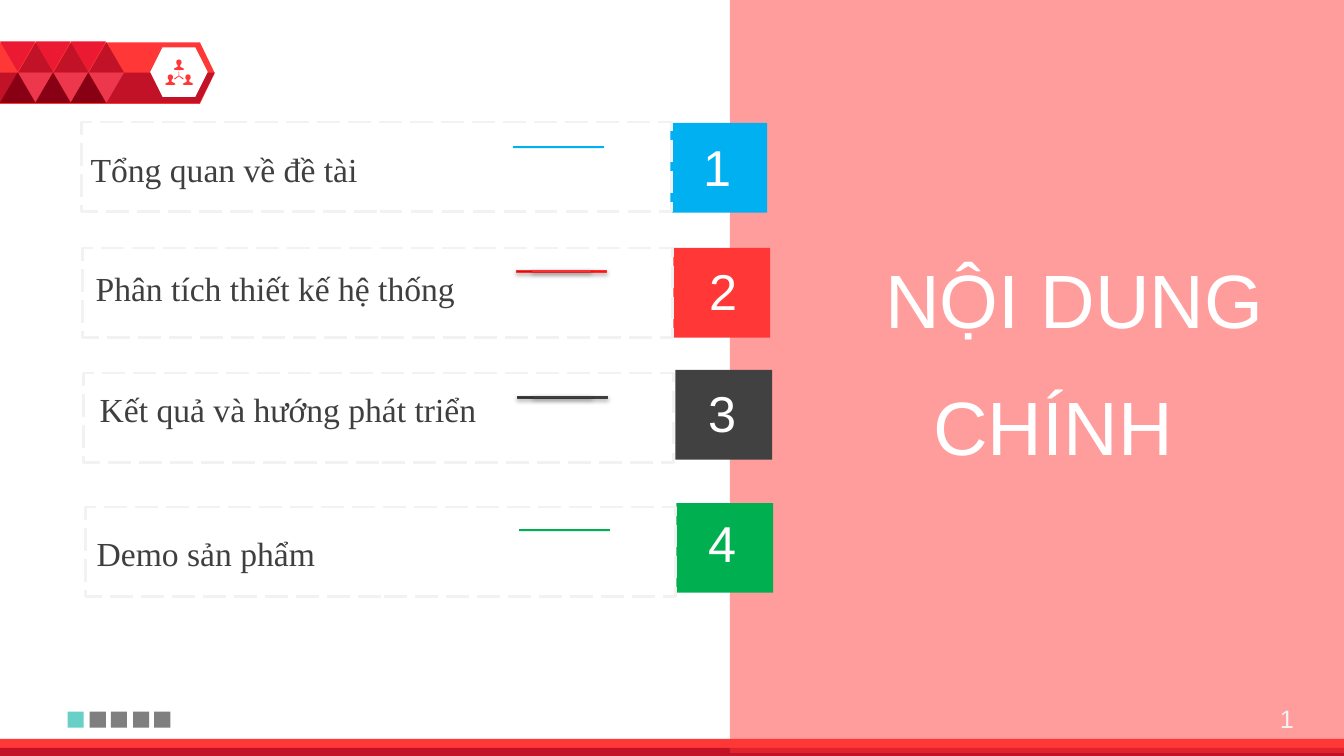
from dataclasses import dataclass
from typing import NamedTuple, Optional

import lxml.etree
import pptx
import pptx.dml.color
import pptx.enum.dml
import pptx.enum.shapes
import pptx.enum.text
import pptx.oxml
import pptx.oxml.ns
import pptx.util

PX = 9144  # EMU in one px, 100 px to the inch
SHAPE = pptx.enum.shapes.MSO_SHAPE
ALIGN = pptx.enum.text.PP_ALIGN


@dataclass(frozen=True)
class Theme:
    heading_font: str = "Arial"
    label_font: str = "Times New Roman"
    title_size: int = 54
    number_size: int = 36
    label_size: int = 24
    page_size: int = 18
    white: str = "FFFFFF"
    red: str = "FF3737"
    crimson: str = "C21227"
    scarlet: str = "EB1932"
    rose: str = "ED374D"
    maroon: str = "880014"
    blue: str = "00B0F0"
    charcoal: str = "414141"
    green: str = "00B050"
    label: str = "3F3F3F"
    frame: str = "F2F2F2"
    teal: str = "68D0C6"
    grey: str = "7F7F7F"


THEME = Theme()


class Box(NamedTuple):
    left: int
    top: int
    width: int
    height: int

    def emu(self) -> list[int]:
        return [side * PX for side in self]


class Glow(NamedTuple):
    """Gradient ends and outline of a shaded accent bar."""
    start: str
    end: str
    outline: str


class Topic(NamedTuple):
    label: str
    color: str
    frame: tuple[int, int]
    badge: tuple[int, int]
    number: tuple[int, int]
    text: tuple[int, int]
    bar: tuple[int, int]
    glow: Optional[Glow] = None


TOPICS = [
    Topic("Tổng quan về đề tài", THEME.blue,
          (81, 121), (665, 122), (677, 130), (80, 143), (509, 145)),
    Topic("Phân tích thiết kế hệ thống", THEME.red,
          (82, 246), (668, 246), (683, 253), (85, 261), (512, 268),
          Glow("D11111", "FF1313", "FD3030")),
    Topic("Kết quả và hướng phát triển", THEME.charcoal,
          (83, 370), (670, 367), (682, 374), (89, 381), (513, 393),
          Glow("2F2F2F", "3F3F3F", "3F3F3F")),
    Topic("Demo sản phẩm", THEME.green,
          (85, 503), (671, 499), (682, 503), (86, 524), (515, 525)),
]


def rgb(color: str) -> pptx.dml.color.RGBColor:
    return pptx.dml.color.RGBColor.from_string(color)


def paint(shape, color: str):
    shape.shadow.inherit = False
    shape.fill.solid()
    shape.fill.fore_color.rgb = rgb(color)
    shape.line.fill.background()
    return shape


def add_block(slide, box: Box, color: str, kind=SHAPE.RECTANGLE):
    return paint(slide.shapes.add_shape(kind, *box.emu()), color)


def write(frame, text: str, size: int, color: str, align, font: str) -> None:
    frame.text = text
    frame.word_wrap = True
    frame.vertical_anchor = pptx.enum.text.MSO_ANCHOR.TOP
    frame.auto_size = pptx.enum.text.MSO_AUTO_SIZE.SHAPE_TO_FIT_TEXT
    paragraph = frame.paragraphs[0]
    paragraph.alignment = align
    paragraph.font.size = pptx.util.Pt(size)
    paragraph.font.name = font
    paragraph.font.color.rgb = rgb(color)


def add_text(slide, box: Box, text: str, size: int, color: str = THEME.white,
             align=ALIGN.RIGHT, font: str = THEME.heading_font):
    frame = slide.shapes.add_textbox(*box.emu()).text_frame
    write(frame, text, size, color, align, font)
    return frame


def add_outline(slide, contours: list, color: str, unit: float):
    (first, *rest), *others = contours
    builder = slide.shapes.build_freeform(*first, scale=unit)
    builder.add_line_segments(rest)
    for start, *points in others:
        builder.move_to(*start)
        builder.add_line_segments(points)
    return paint(builder.convert_to_shape(), color)


def add_network_icon(slide) -> None:
    """Three linked people, drawn in tenths of a px."""
    half = [(0, 0), (15, 4), (24, 15), (26, 32), (22, 45), (12, 55), (13, 72),
            (26, 80), (43, 85), (51, 100), (30, 104), (0, 105)]
    person = half + [(-x, y) for x, y in reversed(half[1:-1])]
    contours = [[(left + x, top + y) for x, y in person]
                for left, top in [(1775, 590), (1690, 738), (1865, 738)]]
    contours.append([(1772, 710), (1778, 710), (1778, 750), (1822, 780), (1816, 788),
                     (1775, 756), (1734, 788), (1728, 780), (1772, 750)])
    add_outline(slide, contours, THEME.red, PX / 10)


def add_ribbon(slide) -> None:
    arrow = add_block(slide, Box(0, 42, 213, 61), THEME.red, SHAPE.PENTAGON)
    arrow.adjustments[0] = 0.24
    add_outline(slide, [[(0, 72), (213, 72), (198, 102), (0, 102)]], THEME.crimson, PX)
    add_block(slide, Box(149, 47, 57, 49), THEME.white, SHAPE.HEXAGON)
    add_network_icon(slide)
    # Each column holds four triangles: offset, top, colour, rotation
    tiles = [(0, 41, THEME.scarlet, 180), (18, 42, THEME.crimson, 0),
             (18, 72, THEME.rose, 180), (0, 72, THEME.maroon, 0)]
    for column in range(3):
        for offset, top, color, rotation in tiles:
            tile = add_block(slide, Box(column * 35 + offset, top, 35, 30), color,
                             SHAPE.ISOSCELES_TRIANGLE)
            tile.rotation = rotation


def add_glow(bar, glow: Glow) -> None:
    bar.fill.gradient()
    bar.fill.gradient_angle = 0
    for stop, color in zip(bar.fill.gradient_stops, glow[:2]):
        stop.color.rgb = rgb(color)
    bar.line.color.rgb = rgb(glow.outline)
    bar.line.width = pptx.util.Pt(0.75)
    effects = bar._element.spPr.find(pptx.oxml.ns.qn("a:effectLst"))
    effects.append(pptx.oxml.parse_xml(
        f'<a:outerShdw {pptx.oxml.ns.nsdecls("a")} blurRad="39370" dist="22860" dir="5400000" '
        'rotWithShape="0"><a:srgbClr val="000000"><a:alpha val="35000"/></a:srgbClr></a:outerShdw>'))


def add_topic(slide, number: int, topic: Topic) -> None:
    add_block(slide, Box(*topic.badge, 96, 89), topic.color)
    add_text(slide, Box(*topic.number, 70, 71), str(number), THEME.number_size,
             align=ALIGN.CENTER)
    left, top = topic.bar
    for box in (Box(left, top, 90, 2), Box(left + 16, top, 58, 1)):
        bar = add_block(slide, box, topic.color)
        if topic.glow:
            add_glow(bar, topic.glow)
    frame = slide.shapes.add_shape(SHAPE.RECTANGLE, *Box(*topic.frame, 585, 89).emu())
    frame.shadow.inherit = False
    frame.fill.background()
    frame.line.color.rgb = rgb(THEME.frame)
    frame.line.width = pptx.util.Pt(2)
    frame.line.dash_style = pptx.enum.dml.MSO_LINE.LONG_DASH
    add_text(slide, Box(*topic.text, 531, 50), topic.label, THEME.label_size,
             THEME.label, ALIGN.LEFT, THEME.label_font)


def add_title_panel(slide) -> None:
    panel = add_block(slide, Box(724, -3, 609, 750), THEME.red)
    tint = panel._element.spPr.find(".//" + pptx.oxml.ns.qn("a:srgbClr"))
    lxml.etree.SubElement(tint, pptx.oxml.ns.qn("a:alpha"), val="49000")
    title = slide.shapes.title
    title.left, title.top, title.width, title.height = Box(596, 246, 667, 101).emu()
    write(title.text_frame, "NỘI DUNG", THEME.title_size, THEME.white, ALIGN.RIGHT,
          THEME.heading_font)
    slide.shapes._spTree.append(title._element)  # bring in front of the panel
    add_text(slide, Box(506, 372, 667, 101), "CHÍNH", THEME.title_size)


def add_page_number(slide) -> None:
    frame = add_text(slide, Box(1234, 693, 59, 40), "1", THEME.page_size, THEME.frame)
    run = frame.paragraphs[0].runs[0]._r
    run.getparent().replace(run, pptx.oxml.parse_xml(
        f'<a:fld {pptx.oxml.ns.nsdecls("a")} id="{{B6F15528-21DE-4FAA-801E-634DDDAF4B2B}}" '
        'type="slidenum"><a:rPr lang="vi-VN"/><a:t>1</a:t></a:fld>'))


def main() -> None:
    deck = pptx.Presentation()
    deck.slide_width, deck.slide_height = 1333 * PX, 750 * PX
    slide = deck.slides.add_slide(deck.slide_layouts[5])

    # Ribbon and footer stripes
    add_ribbon(slide)
    add_block(slide, Box(0, 733, 1333, 16), THEME.red)
    add_block(slide, Box(0, 742, 1333, 8), THEME.crimson)

    # Title side and topics
    add_title_panel(slide)
    for number, topic in enumerate(TOPICS, start=1):
        add_topic(slide, number, topic)

    # Progress squares and page number
    for step in range(5):
        add_block(slide, Box(67 + round(step * 21.6), 706, 16, 16),
                  THEME.grey if step else THEME.teal)
    add_page_number(slide)
    deck.save("out.pptx")


if __name__ == "__main__":
    main()
